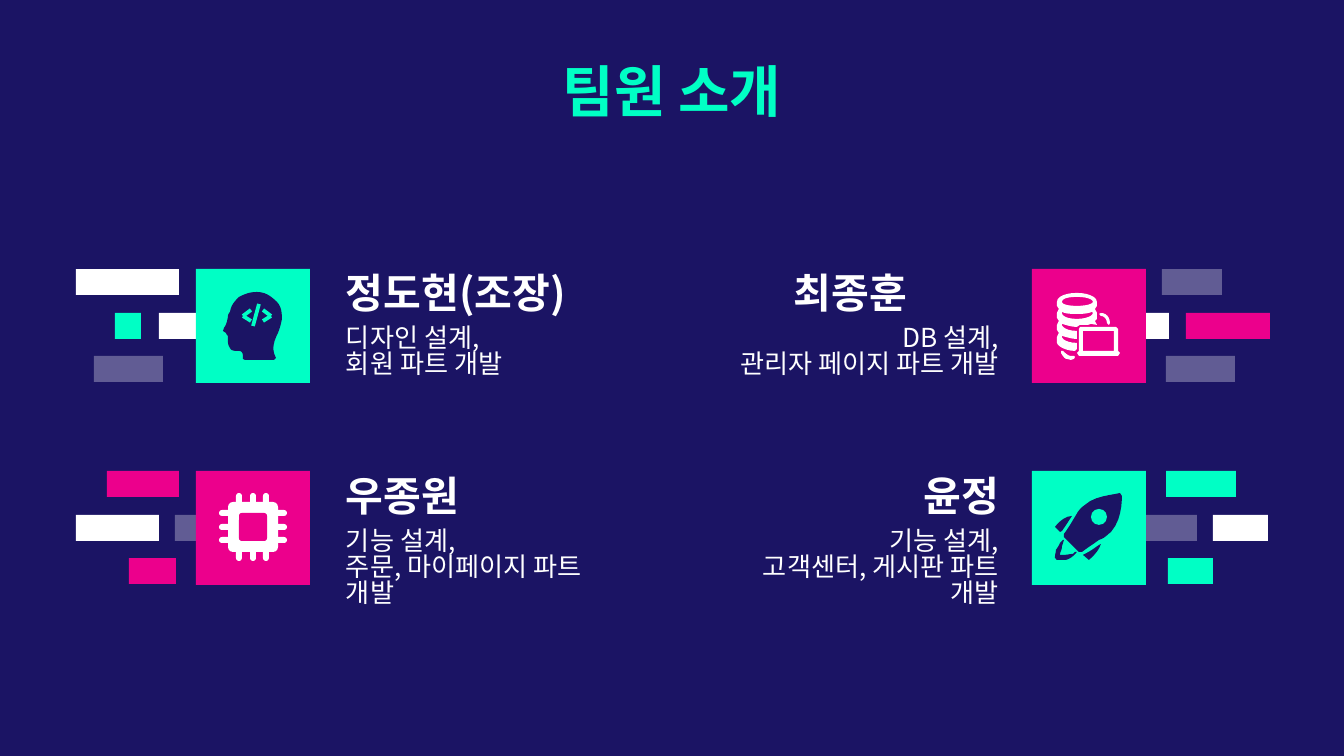
from dataclasses import dataclass

from lxml import etree
from pptx import Presentation
from pptx.dml.color import RGBColor
from pptx.enum.shapes import MSO_CONNECTOR, MSO_SHAPE
from pptx.enum.text import MSO_ANCHOR, MSO_AUTO_SIZE, PP_ALIGN
from pptx.oxml.ns import qn
from pptx.util import Pt

RECTANGLE, ROUNDED = MSO_SHAPE.RECTANGLE, MSO_SHAPE.ROUNDED_RECTANGLE
OVAL, STRAIGHT = MSO_SHAPE.OVAL, MSO_CONNECTOR.STRAIGHT
TOP, BOTTOM = MSO_ANCHOR.TOP, MSO_ANCHOR.BOTTOM
LEFT, CENTER, RIGHT = PP_ALIGN.LEFT, PP_ALIGN.CENTER, PP_ALIGN.RIGHT
NO_AUTOFIT = MSO_AUTO_SIZE.NONE
EMU_PER_PX = 914400 / 134.4
CURVE_STEPS = 6
TILE, BAR_HEIGHT, BAR_ROWS = 114, 26, (0, 44, 87)


@dataclass(frozen=True)
class Theme:
    font: str = "Noto Sans CJK KR"
    navy: str = "1B1464"
    mint: str = "00FFC5"
    pink: str = "EC008C"
    white: str = "FFFFFF"
    veil_alpha: int = 31
    title_size: int = 30
    name_size: int = 22
    body_size: int = 14
    line_spacing: float = 0.83


THEME = Theme()
NAVY, MINT, PINK, WHITE = THEME.navy, THEME.mint, THEME.pink, THEME.white
VEIL = "veil"

# Tile left, tile top, tile colour, then bars as (row, left, width, colour)
TILES = [
    (196, 269, MINT, [(0, 76, 103, WHITE), (1, 115, 26, MINT),
                      (1, 159, 47, WHITE), (2, 94, 69, VEIL)]),
    (1032, 269, PINK, [(0, 1162, 60, VEIL), (1, 1137, 32, WHITE),
                       (1, 1186, 84, PINK), (2, 1166, 69, VEIL)]),
    (196, 471, PINK, [(0, 107, 72, PINK), (1, 76, 83, WHITE),
                      (1, 175, 32, VEIL), (2, 129, 47, PINK)]),
    (1032, 471, MINT, [(0, 1166, 70, MINT), (1, 1137, 60, VEIL),
                       (1, 1213, 55, WHITE), (2, 1168, 45, MINT)]),
]
# Box left, top, alignment, outer inset of the name, name, tasks
MEMBERS = [
    (333, 261, LEFT, 13, "정도현(조장)", ["디자인 설계,", "회원 파트 개발"]),
    (693, 261, RIGHT, 105, "최종훈", ["DB 설계,", "관리자 페이지 파트 개발"]),
    (333, 464, LEFT, 13, "우종원", ["기능 설계,", "주문, 마이페이지 파트 개발"]),
    (693, 464, RIGHT, 13, "윤정", ["기능 설계,", "고객센터, 게시판 파트 개발"]),
]
# Contours: two numbers are a corner, six are a cubic curve
HEAD = [[
    (257, 292), (250, 292, 245, 294, 239, 297), (235, 301, 231, 305, 230, 312),
    (228, 314, 228, 316, 228, 317), (227, 321, 227, 324, 224, 328),
    (223, 331), (226, 333), (227, 335), (228, 335, 228, 337, 228, 340),
    (228, 343, 228, 345, 230, 348), (231, 351, 235, 351, 238, 351),
    (241, 351, 242, 351, 243, 355), (243, 359), (245, 360), (274, 360),
    (276, 358), (271, 349, 274, 341, 278, 333), (280, 328, 281, 324, 282, 319),
    (282, 312, 281, 306, 277, 302), (271, 296, 265, 292, 257, 292)]]
CODE_MARKS = [[(251, 310), (243, 316), (251, 321)],
              [(263, 310), (271, 316), (263, 321)]]
DISKS = [
    [(1077, 293), (1067, 293, 1057, 296, 1057, 302), (1057, 306), (1059, 309),
     (1057, 313), (1057, 318), (1059, 321), (1057, 325), (1057, 330),
     (1059, 333), (1057, 337), (1057, 343), (1058, 347, 1067, 351, 1075, 351),
     (1077, 349), (1077, 343), (1067, 343, 1062, 339, 1062, 337), (1062, 336),
     (1066, 337, 1071, 339, 1077, 339), (1077, 331),
     (1067, 331, 1062, 327, 1062, 325), (1062, 324),
     (1066, 325, 1071, 327, 1077, 327), (1080, 325), (1088, 325), (1091, 324),
     (1097, 325), (1095, 321), (1097, 319), (1097, 313), (1095, 309),
     (1097, 306), (1097, 302), (1097, 296, 1086, 293, 1077, 293)],
    [(1062, 302), (1062, 299, 1067, 297, 1077, 297),
     (1086, 297, 1093, 299, 1093, 302), (1093, 304, 1086, 306, 1077, 306),
     (1067, 306, 1062, 304, 1062, 302)],
    [(1092, 312), (1093, 313), (1093, 316, 1086, 319, 1077, 319),
     (1067, 319, 1062, 316, 1062, 313), (1062, 312),
     (1066, 314, 1071, 314, 1077, 314), (1082, 314, 1087, 314, 1092, 312)]]
LAPTOP = [
    [(1080, 327), (1079, 329), (1079, 351), (1077, 353), (1079, 356),
     (1118, 356), (1120, 353), (1118, 351), (1118, 329), (1116, 327)],
    [(1083, 331), (1114, 331), (1114, 351), (1083, 351)]]
SYNC_ARCS = [
    [[(1101, 313), (1099, 314), (1101, 316), (1104, 316, 1107, 319, 1107, 323),
      (1109, 325), (1110, 323), (1110, 317, 1106, 313, 1101, 313)]],
    [[(1063, 351), (1061, 351), (1061, 353), (1062, 355, 1064, 358, 1066, 359),
      (1068, 359, 1070, 360, 1071, 360), (1074, 359), (1075, 357), (1074, 356),
      (1070, 356), (1067, 355, 1065, 353, 1064, 352)]]]
ROCKET_PARTS = [
    [[(1072, 516), (1063, 516, 1055, 527, 1055, 527), (1060, 532), (1062, 531),
      (1067, 524, 1070, 519, 1072, 516)]],
    [[(1101, 544), (1097, 546, 1093, 550, 1085, 554), (1083, 555), (1089, 560),
      (1089, 560, 1099, 552, 1101, 544)]],
    [[(1063, 540), (1060, 543), (1059, 546, 1058, 547, 1056, 550),
      (1056, 552, 1055, 555, 1055, 558), (1057, 560),
      (1060, 560, 1063, 560, 1066, 560), (1070, 559, 1074, 556, 1077, 552),
      (1075, 552), (1073, 554), (1070, 554, 1067, 555, 1064, 555), (1060, 555),
      (1060, 552, 1062, 550, 1062, 547), (1062, 546, 1063, 544, 1064, 540)]],
    [[(1120, 493), (1113, 495, 1094, 496, 1085, 505),
      (1079, 509, 1078, 512, 1075, 517), (1073, 520, 1070, 526, 1064, 534),
      (1064, 537), (1079, 552), (1082, 552), (1090, 546, 1095, 543, 1099, 540),
      (1105, 538, 1106, 536, 1111, 532), (1121, 521, 1122, 504, 1122, 496)]]]


def px(length):
    return round(length * EMU_PER_PX)


def rgb(color):
    return RGBColor.from_string(color)


def paint(shape, color):
    shape.shadow.inherit = False
    shape.fill.solid()
    shape.fill.fore_color.rgb = rgb(WHITE if color == VEIL else color)
    shape.line.fill.background()
    if color == VEIL:
        tint = shape.fill._xPr.find(qn("a:solidFill"))[0]
        etree.SubElement(tint, qn("a:alpha"), val=str(THEME.veil_alpha * 1000))


def add_block(slide, kind, left, top, width, height, color):
    shape = slide.shapes.add_shape(kind, px(left), px(top), px(width), px(height))
    paint(shape, color)
    return shape


def flatten(contour):
    """Turn corners and cubic curves into a plain list of points."""
    points = []
    for step in contour:
        if len(step) == 2:
            points.append(step)
            continue
        nodes = [points[-1], step[:2], step[2:4], step[4:]]
        for index in range(1, CURVE_STEPS + 1):
            t = index / CURVE_STEPS
            weights = ((1 - t) ** 3, 3 * t * (1 - t) ** 2, 3 * t * t * (1 - t), t ** 3)
            points.append(tuple(sum(weight * node[axis] for weight, node in zip(weights, nodes))
                                for axis in (0, 1)))
    return points


def add_outline(slide, contours, color):
    """Fill the first contour; the later ones are holes in it."""
    first, *holes = [[(px(x), px(y)) for x, y in flatten(item)] for item in contours]
    builder = slide.shapes.build_freeform(*first[0])
    builder.add_line_segments(first[1:], close=True)
    for hole in holes:
        builder.move_to(*hole[0])
        builder.add_line_segments(hole[1:], close=True)
    paint(builder.convert_to_shape(), color)


def add_stroke(slide, points, color):
    for (x1, y1), (x2, y2) in zip(points, points[1:]):
        line = slide.shapes.add_connector(STRAIGHT, px(x1), px(y1), px(x2), px(y2))
        line.line.color.rgb = rgb(color)
        line.line.width = Pt(2)
        etree.SubElement(line._element.spPr, qn("a:effectLst"))


def write_text(box, lines, size, color, align, bold, anchor, insets):
    frame = box.text_frame
    frame.word_wrap = True
    frame.auto_size = NO_AUTOFIT
    frame.vertical_anchor = anchor
    (frame.margin_left, frame.margin_top,
     frame.margin_right, frame.margin_bottom) = map(px, insets)
    frame.text = "\n".join(lines)
    for para in frame.paragraphs:
        para.alignment = align
        para.line_spacing = THEME.line_spacing
        for span in para.runs:
            span.font.name, span.font.size, span.font.bold = THEME.font, Pt(size), bold
            span.font.color.rgb = rgb(color)
            etree.SubElement(span.font._element, qn("a:ea"), typeface=THEME.font)


def add_title(slide, text):
    title = slide.shapes.title
    title.left, title.top, title.width, title.height = map(px, (188, 51, 968, 98))
    write_text(title, [text], THEME.title_size, MINT, CENTER, True, TOP, (13, 17, 13, 13))


def add_member(slide, left, top, align, outer, name, tasks):
    name_box = slide.shapes.add_textbox(px(left), px(top + 4), px(319), px(52))
    write_text(name_box, [name], THEME.name_size, WHITE, align, True, BOTTOM, (13, 0, outer, 0))
    task_box = slide.shapes.add_textbox(px(left), px(top + 63), px(319), px(60))
    sides = (13, 26) if align == LEFT else (26, 13)
    write_text(task_box, tasks, THEME.body_size, WHITE, align, False, TOP,
               (sides[0], 3, sides[1], 13))


def add_tile(slide, left, top, color, bars):
    for row, bar_left, width, bar_color in bars:
        add_block(slide, RECTANGLE, bar_left, top + BAR_ROWS[row], width, BAR_HEIGHT, bar_color)
    add_block(slide, RECTANGLE, left, top, TILE, TILE, color)


def add_chip(slide, left, top):
    for offset in (17, 31, 44):
        add_block(slide, ROUNDED, left + offset, top, 6, 68, WHITE).adjustments[0] = 0.5
        add_block(slide, ROUNDED, left, top + offset, 68, 6, WHITE).adjustments[0] = 0.5
    add_block(slide, ROUNDED, left + 9, top + 9, 50, 50, WHITE).adjustments[0] = 0.1
    add_block(slide, ROUNDED, left + 20, top + 20, 28, 28, PINK).adjustments[0] = 0.1


def add_icons(slide):
    add_outline(slide, HEAD, NAVY)
    for mark in CODE_MARKS + [[(259, 304), (253, 326)]]:
        add_stroke(slide, mark, MINT)
    for part in [DISKS, LAPTOP] + SYNC_ARCS:
        add_outline(slide, part, WHITE)
    add_chip(slide, 219, 493)
    for part in ROCKET_PARTS:
        add_outline(slide, part, NAVY)
    add_block(slide, OVAL, 1091, 509, 16, 16, MINT)


def main():
    deck = Presentation()
    deck.slide_width, deck.slide_height = px(1344), px(756)
    slide = deck.slides.add_slide(deck.slide_layouts[5])
    slide.background.fill.solid()
    slide.background.fill.fore_color.rgb = rgb(NAVY)
    add_title(slide, "팀원 소개")
    for tile in TILES:
        add_tile(slide, *tile)
    for member in MEMBERS:
        add_member(slide, *member)
    add_icons(slide)
    deck.save("out.pptx")


if __name__ == "__main__":
    main()
